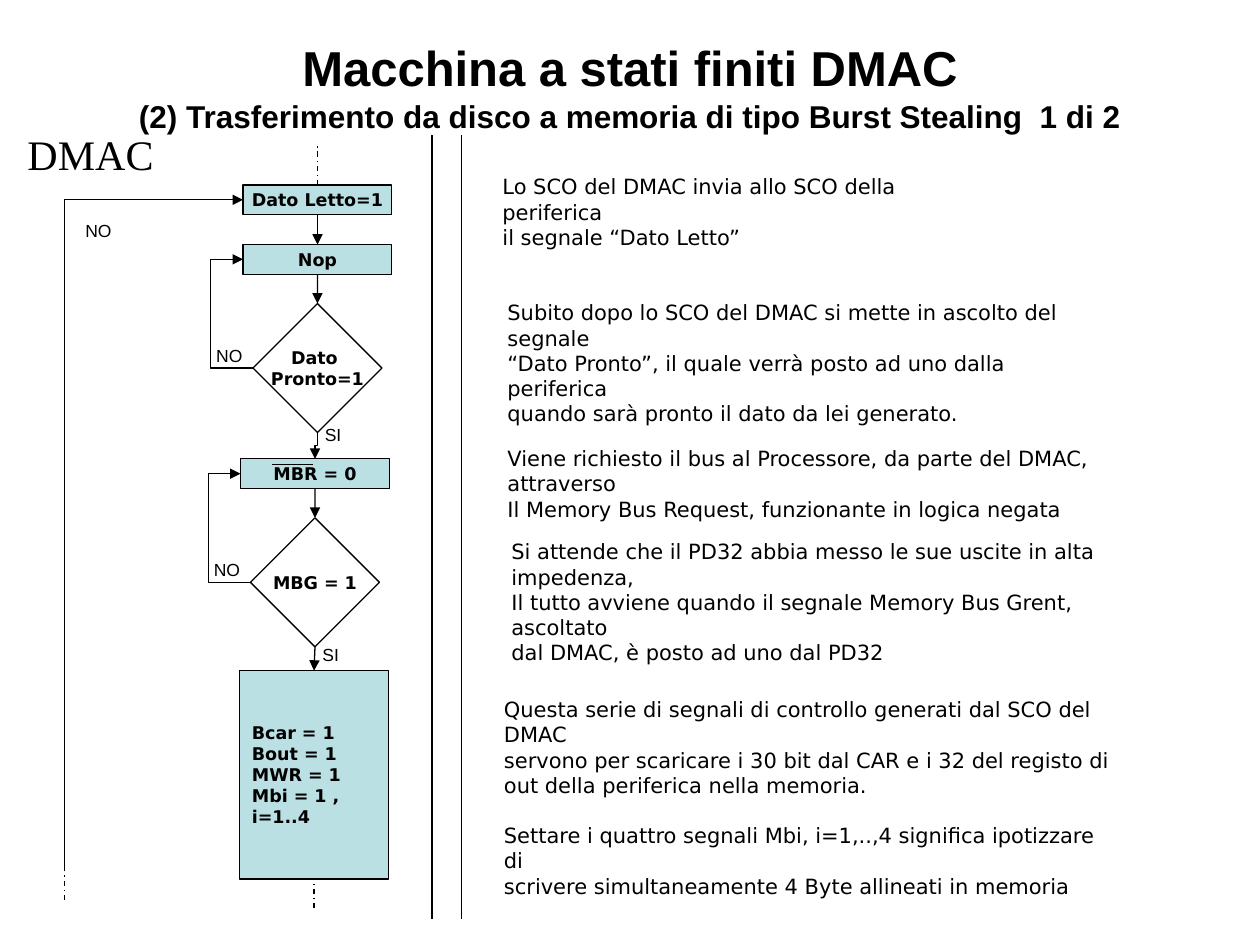
from lxml import etree
from pptx import Presentation
from pptx import util as u
from pptx.dml.color import RGBColor
from pptx.enum import dml, shapes, text
from pptx.oxml.ns import qn

Cm, Pt = u.Cm, u.Pt
color = RGBColor.from_string
BLACK, WHITE, AQUA = "000000", "FFFFFF", "BBE0E3"
LEFT, CENTER = text.PP_ALIGN.LEFT, text.PP_ALIGN.CENTER


def write(shape, paragraphs, font, size, bold=False, align=LEFT, wrap=False,
          anchor=text.MSO_ANCHOR.TOP):
    """Fill a shape with paragraphs; a None marks a one-line gap."""
    frame = shape.text_frame
    frame.word_wrap = wrap
    frame.vertical_anchor = anchor
    para, gap = None, False
    for words in paragraphs:
        if words is None:
            gap = True
            continue
        para = frame.add_paragraph() if para is not None else frame.paragraphs[0]
        para.alignment = align
        if gap:
            para.space_before, gap = Pt(14.4), False
        span = para.add_run()
        span.text = words
        span.font.name, span.font.size, span.font.bold = font, Pt(size), bold
        span.font.color.rgb = color(BLACK)


def connect(begin, end, arrow=False, dashed=False, kind=shapes.MSO_CONNECTOR.STRAIGHT):
    """Draw a line; an end is either a point in cm or a (shape, site) pair."""
    points = [end_point if isinstance(end_point[0], (int, float)) else (0, 0)
              for end_point in (begin, end)]
    line = page.shapes.add_connector(kind, *[Cm(v) for point in points for v in point])
    for target, join in ((begin, line.begin_connect), (end, line.end_connect)):
        if not isinstance(target[0], (int, float)):
            join(*target)
    line.line.color.rgb = color(BLACK)
    line.line.width = Pt(0.75)
    if dashed:
        line.line.dash_style = dml.MSO_LINE.DASH_DOT
    if arrow:
        etree.SubElement(line.line._get_or_add_ln(), qn("a:tailEnd"), type="triangle")
    etree.SubElement(line._element.spPr, qn("a:effectLst"))
    return line


deck = Presentation()
deck.slide_width, deck.slide_height = Cm(25.4), Cm(19.05)
page = deck.slides.add_slide(deck.slide_layouts[6])

# Title and subtitle
title = page.shapes.add_textbox(Cm(1.27), Cm(0.76), Cm(22.86), Cm(1.96))
frame = title.text_frame
frame.word_wrap = True
frame.vertical_anchor = text.MSO_ANCHOR.MIDDLE
frame.margin_left = frame.margin_right = frame.margin_top = frame.margin_bottom = 0
para = frame.paragraphs[0]
para.alignment = CENTER
for words, size in (
        ("Macchina a stati finiti DMAC", 28),
        ("(2) Trasferimento da disco a memoria di tipo Burst Stealing  1 di 2", 18)):
    if para.runs:
        para.add_line_break()
    span = para.add_run()
    span.text = words
    span.font.name, span.font.size, span.font.bold = "Arial", Pt(size), True
    span.font.color.rgb = color(BLACK)

# States and decisions
RECT, DIAMOND = shapes.MSO_SHAPE.RECTANGLE, shapes.MSO_SHAPE.DIAMOND
steps = [
    (RECT, 4.9, 3.73, 3, 0.6, ["Dato Letto=1"]),
    (RECT, 4.9, 4.93, 3, 0.6, ["Nop"]),
    (DIAMOND, 5.1, 6.12, 2.6, 2.6, ["Dato ", "Pronto=1"]),
    (RECT, 4.85, 9.25, 3, 0.6, ["MBR = 0"]),
    (DIAMOND, 5.05, 10.44, 2.6, 2.6, ["MBG = 1"]),
    (RECT, 4.83, 13.52, 3, 4.2,
     ["Bcar = 1", "Bout = 1", "MWR = 1", "Mbi = 1 ,", "i=1..4"]),
]
nodes = []
for kind, x, y, width, height, words in steps:
    node = page.shapes.add_shape(kind, Cm(x), Cm(y), Cm(width), Cm(height))
    node.shadow.inherit = False
    node.fill.solid()
    node.fill.fore_color.rgb = color(WHITE if kind == DIAMOND else AQUA)
    node.line.color.rgb = color(BLACK)
    node.line.width = Pt(0.75)
    tall = len(words) > 2
    write(node, words, "DejaVu Sans", 10, True, LEFT if tall else CENTER, tall,
          text.MSO_ANCHOR.MIDDLE)
    nodes.append(node)
letto, nop, pronto, mbr, mbg, transfer = nodes

# Straight arrows between steps
for upper, lower in ((letto, nop), (nop, pronto), (mbr, mbg), (mbg, transfer)):
    connect((upper, 2), (lower, 0), arrow=True)

# Dash-dot continuations
connect((letto, 0), (6.4, 2.92), dashed=True)
connect((6.33, 18.31), (transfer, 2), dashed=True)
connect((1.3, 18.14), (1.3, 17.32), dashed=True)

# Column rules and the bar over MBR
for x in (8.71, 9.3):
    connect((x, 2.72), (x, 18.52))
connect((5.49, 9.37), (6.3, 9.37))

# Bent arrows: begin, end, preset, adjustment, quarter turn
elbows = [
    ((6.4, 8.72), (6.35, 9.25), "bentConnector3", 0.5, True),
    ((5.1, 7.42), (4.9, 5.23), "bentConnector3", 4.25, False),
    ((5.05, 11.74), (4.85, 9.55), "bentConnector3", 4.2, False),
    ((1.3, 17.53), (4.9, 4.03), "bentConnector2", None, True),
]
for begin, end, preset, bend, turned in elbows:
    if turned:
        middle_x, middle_y = (begin[0] + end[0]) / 2, (begin[1] + end[1]) / 2
        begin, end = [(middle_x + y - middle_y, middle_y - x + middle_x)
                      for x, y in (begin, end)]
    elbow = connect(begin, end, arrow=True, kind=shapes.MSO_CONNECTOR.ELBOW)
    properties = elbow._element.spPr
    if turned:
        properties.find(qn("a:xfrm")).set("rot", "5400000")
    geometry = properties.find(qn("a:prstGeom"))
    geometry.set("prst", preset)
    if bend is not None:
        guides = geometry.find(qn("a:avLst"))
        if guides is None:
            guides = etree.SubElement(geometry, qn("a:avLst"))
        etree.SubElement(guides, qn("a:gd"), name="adj1", fmla=f"val {round(bend * 100000)}")

# Branch labels and column heading
labels = [
    ("SI", 6.3, 8.43, 0.84), ("NO", 4.11, 6.83, 1.04),
    ("SI", 6.25, 12.85, 0.84), ("NO", 4.06, 11.15, 1.04),
    ("NO", 1.47, 4.32, 1.04),
]
for words, x, y, width in labels:
    box = page.shapes.add_textbox(Cm(x), Cm(y), Cm(width), Cm(0.69))
    write(box, [words], "Arial", 10)
heading = page.shapes.add_textbox(Cm(0.3), Cm(2.46), Cm(3.05), Cm(1.27))
write(heading, ["DMAC"], "Times New Roman", 24, align=CENTER)

# Explanations
notes = [
    (9.88, 3.38, 9.96, 1.27, [
        "Lo SCO del DMAC invia allo SCO della periferica",
        "il segnale “Dato Letto”"]),
    (9.98, 5.92, 12.6, 1.78, [
        "Subito dopo lo SCO del DMAC si mette in ascolto del segnale",
        "“Dato Pronto”, il quale verrà posto ad uno dalla periferica",
        "quando sarà pronto il dato da lei generato."]),
    (9.98, 8.86, 13.59, 1.27, [
        "Viene richiesto il bus al Processore, da parte del DMAC, attraverso",
        "Il Memory Bus Request, funzionante in logica negata"]),
    (10.06, 10.74, 13.72, 1.78, [
        "Si attende che il PD32 abbia messo le sue uscite in alta impedenza,",
        "Il tutto avviene quando il segnale Memory Bus Grent, ascoltato",
        "dal DMAC, è posto ad uno dal PD32"]),
    (9.91, 13.92, 12.88, 3.3, [
        "Questa serie di segnali di controllo generati dal SCO del DMAC",
        "servono per scaricare i 30 bit dal CAR e i 32 del registo di",
        "out della periferica nella memoria.",
        None,
        "Settare i quattro segnali Mbi, i=1,..,4 significa ipotizzare di",
        "scrivere simultaneamente 4 Byte allineati in memoria"]),
]
for x, y, width, height, words in notes:
    box = page.shapes.add_textbox(Cm(x), Cm(y), Cm(width), Cm(height))
    write(box, words, "DejaVu Sans", 12, wrap=True)

deck.save("out.pptx")
